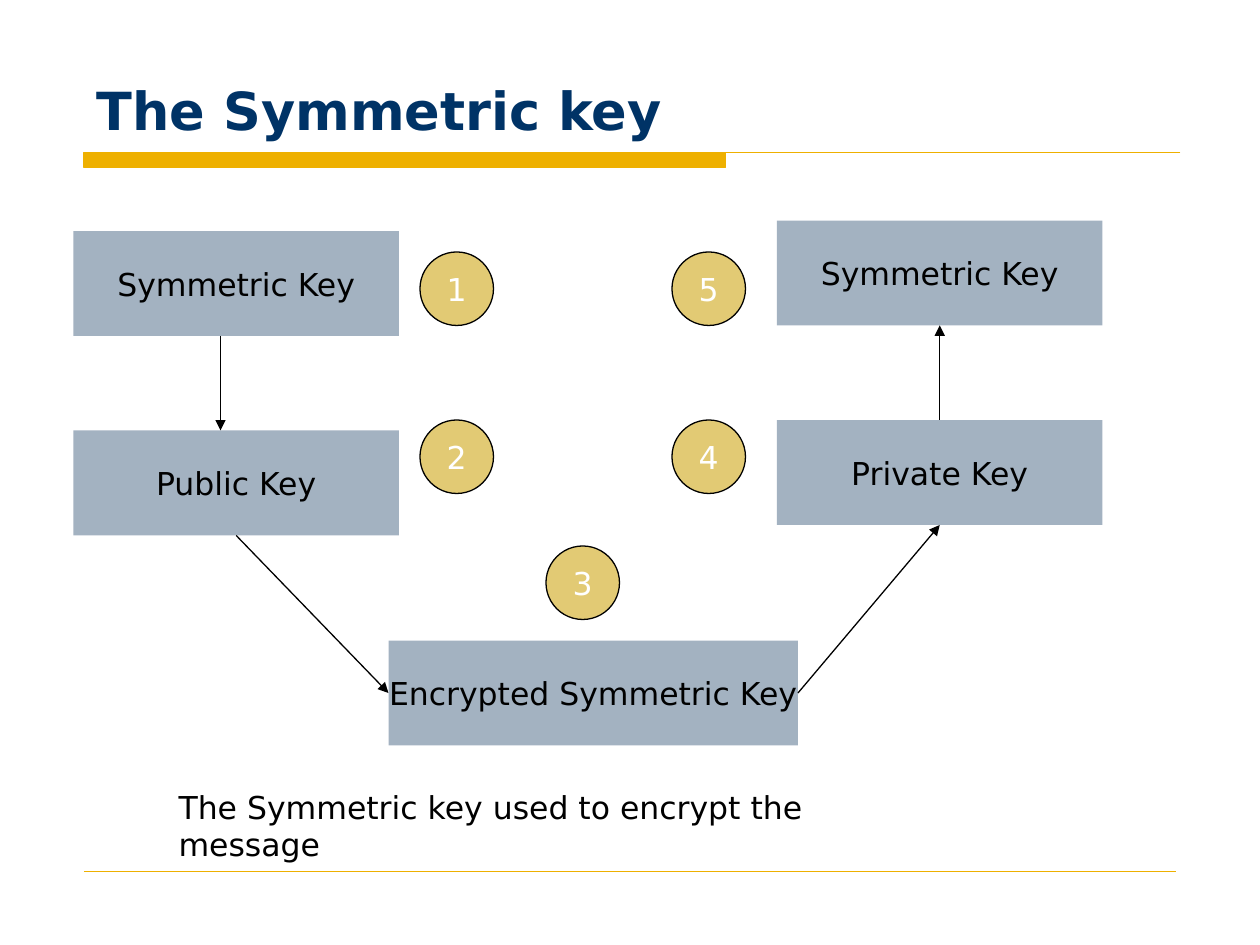
from dataclasses import dataclass

from lxml import etree
from pptx import Presentation
from pptx.dml.color import RGBColor
from pptx.enum.shapes import MSO_CONNECTOR, MSO_SHAPE
from pptx.enum.text import MSO_ANCHOR, PP_ALIGN
from pptx.oxml.ns import qn
from pptx.util import Pt

RECT, OVAL = MSO_SHAPE.RECTANGLE, MSO_SHAPE.OVAL
STRAIGHT = MSO_CONNECTOR.STRAIGHT
LEFT, CENTER = PP_ALIGN.LEFT, PP_ALIGN.CENTER
TOP, MIDDLE, BOTTOM = MSO_ANCHOR.TOP, MSO_ANCHOR.MIDDLE, MSO_ANCHOR.BOTTOM
TITLE_ONLY = 5
# Connection sites of a rectangle
SITE_TOP, SITE_LEFT, SITE_BOTTOM, SITE_RIGHT = range(4)


@dataclass(frozen=True)
class Theme:
    font: str = "DejaVu Sans"
    title_size: float = 30
    body_size: float = 18
    title: RGBColor = RGBColor(0x00, 0x33, 0x66)
    accent: RGBColor = RGBColor(0xEE, 0xB0, 0x00)
    box: RGBColor = RGBColor(0xA3, 0xB2, 0xC1)
    badge: RGBColor = RGBColor(0xE2, 0xCA, 0x74)
    dark: RGBColor = RGBColor(0x00, 0x00, 0x00)
    light: RGBColor = RGBColor(0xFF, 0xFF, 0xFF)


THEME = Theme()
BOX_W, BOX_H = 186, 60
BADGE = 42


def put_text(sp, text, size=THEME.body_size, color=THEME.dark, bold=False,
             align=CENTER, anchor=MIDDLE, wrap=False):
    tf = sp.text_frame
    tf.word_wrap = wrap
    tf.vertical_anchor = anchor
    p = tf.paragraphs[0]
    p.alignment = align
    r = p.add_run()
    r.text = text
    r.font.name = THEME.font
    r.font.size = Pt(size)
    r.font.bold = bold
    r.font.color.rgb = color


def add_title(s, text):
    sp = s.shapes.title
    sp.left, sp.top, sp.width, sp.height = Pt(48), Pt(12.25), Pt(630), Pt(72)
    put_text(sp, text, size=THEME.title_size, color=THEME.title, bold=True,
             align=LEFT, anchor=BOTTOM, wrap=True)


def add_title_rule(s):
    """Thick bar under the title that runs on as a thin line."""
    x, y = Pt(48), Pt(87.25)
    bar_end, bar_bottom, line_end = Pt(414.5), Pt(95.75), Pt(674.5)
    fb = s.shapes.build_freeform(x, y)
    fb.add_line_segments([(bar_end, y), (bar_end, bar_bottom), (x, bar_bottom)])
    fb.move_to(x, y)
    fb.add_line_segments([(line_end, y)], close=False)
    sp = fb.convert_to_shape()
    sp.shadow.inherit = False
    sp.fill.solid()
    sp.fill.fore_color.rgb = THEME.accent
    sp.line.color.rgb = THEME.accent
    sp.line.width = Pt(0.75)


def add_node(s, shape, x, y, w, h, text, fill, color, outline=None):
    sp = s.shapes.add_shape(shape, Pt(x), Pt(y), Pt(w), Pt(h))
    sp.shadow.inherit = False
    sp.fill.solid()
    sp.fill.fore_color.rgb = fill
    if outline is None:
        sp.line.fill.background()
    else:
        sp.line.color.rgb = outline
        sp.line.width = Pt(0.75)
    put_text(sp, text, color=color)
    return sp


def add_box(s, x, y, text, w=BOX_W):
    return add_node(s, RECT, x, y, w, BOX_H, text, THEME.box, THEME.dark)


def add_badge(s, x, y, text):
    add_node(s, OVAL, x, y, BADGE, BADGE, text, THEME.badge, THEME.light,
             outline=THEME.dark)


def add_line(s, x1, y1, x2, y2, color=THEME.dark, width=0.75, arrow=False):
    cx = s.shapes.add_connector(STRAIGHT, Pt(x1), Pt(y1), Pt(x2), Pt(y2))
    cx.line.color.rgb = color
    cx.line.width = Pt(width)
    if arrow:
        etree.SubElement(cx.line._get_or_add_ln(), qn("a:tailEnd"), type="triangle")
    etree.SubElement(cx._element.spPr, qn("a:effectLst"))
    return cx


def add_link(s, start, start_site, end, end_site):
    cx = add_line(s, 0, 0, 0, 0, arrow=True)
    cx.begin_connect(start, start_site)
    cx.end_connect(end, end_site)


def main():
    prs = Presentation()
    prs.slide_width, prs.slide_height = Pt(720), Pt(540)
    s = prs.slides.add_slide(prs.slide_layouts[TITLE_ONLY])

    # Title and rules
    add_title_rule(s)
    add_line(s, 48, 498, 672, 498, color=THEME.accent, width=0.25)
    add_title(s, "The Symmetric key")

    # Key boxes: sender on the left, receiver on the right
    add_box(s, 42, 132, "Symmetric Key")
    public = add_box(s, 42, 246, "Public Key")
    encrypted = add_box(s, 222, 366, "Encrypted Symmetric Key", w=234)
    private = add_box(s, 444, 240, "Private Key")
    received = add_box(s, 444, 126, "Symmetric Key")

    # Step numbers
    steps = [(240, 144), (240, 240), (312, 312), (384, 240), (384, 144)]
    for number, (x, y) in enumerate(steps, start=1):
        add_badge(s, x, y, str(number))

    # Flow arrows; the first sits left of the box centre
    add_line(s, 126, 192, 126, 246, arrow=True)
    add_link(s, public, SITE_BOTTOM, encrypted, SITE_LEFT)
    add_link(s, encrypted, SITE_RIGHT, private, SITE_BOTTOM)
    add_link(s, private, SITE_TOP, received, SITE_BOTTOM)

    # Caption
    caption = s.shapes.add_textbox(Pt(95), Pt(446.5), Pt(423.5), Pt(29))
    put_text(caption, "The Symmetric key used to encrypt the message",
             align=LEFT, anchor=TOP, wrap=True)

    prs.save("out.pptx")


if __name__ == "__main__":
    main()
